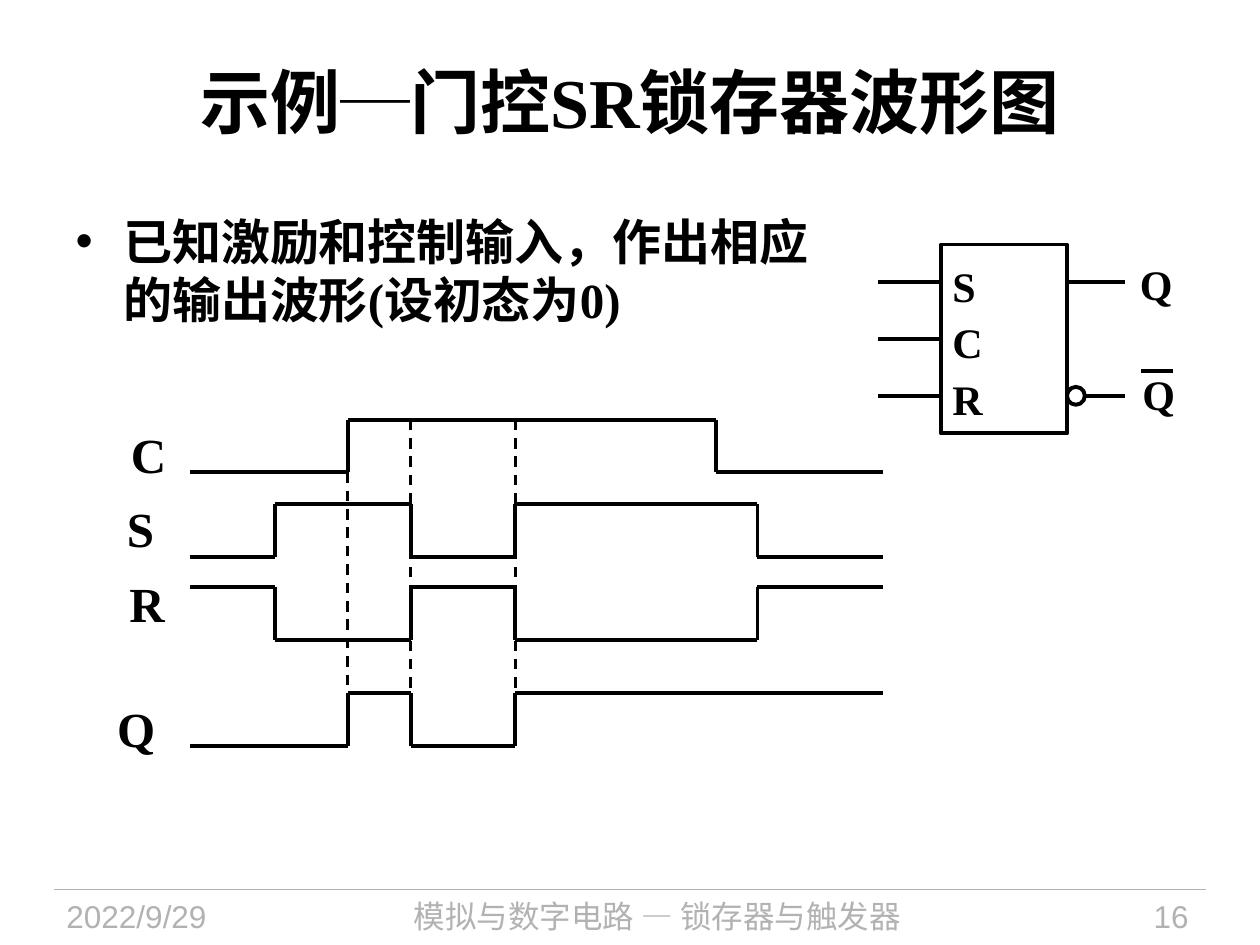
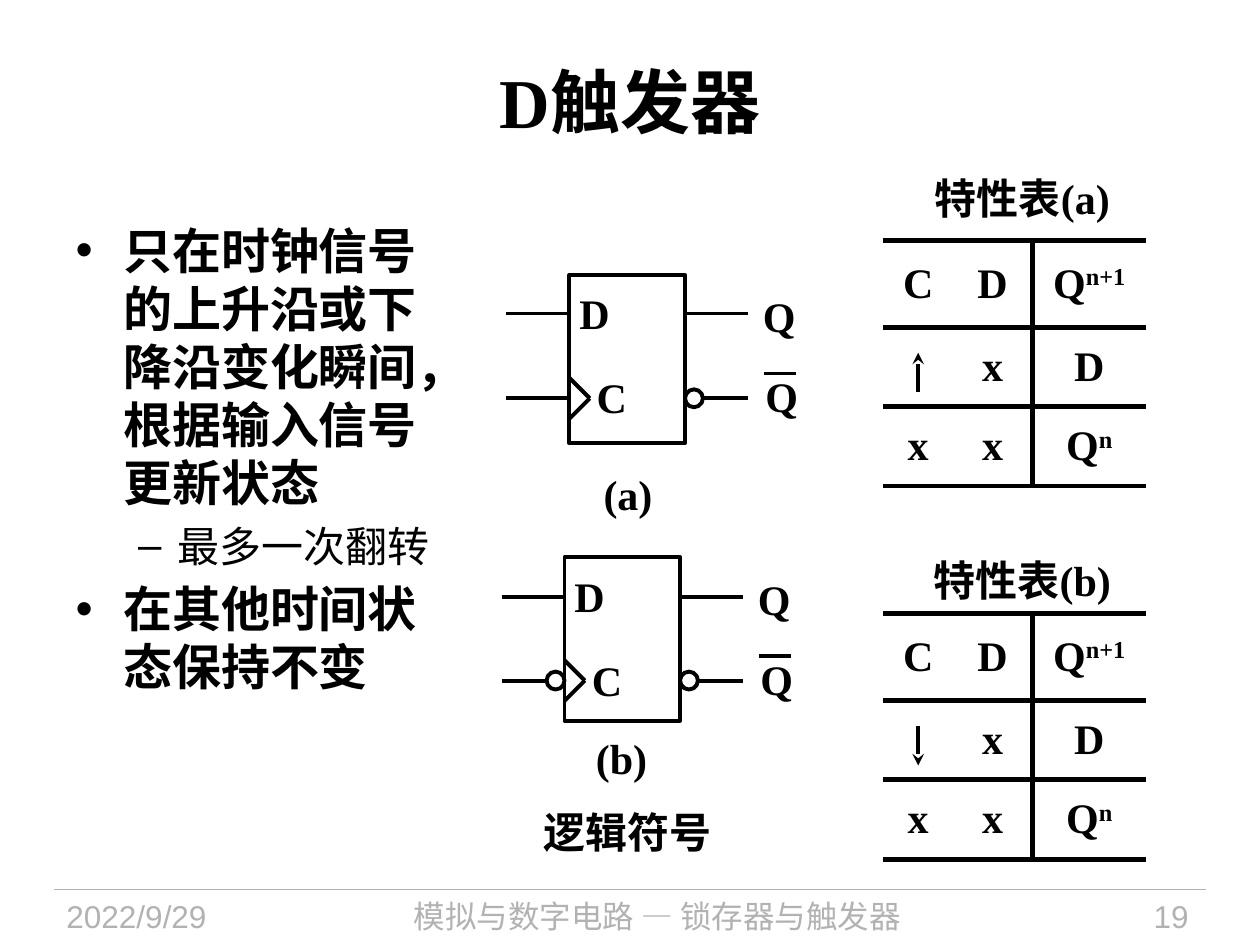
import pptx
import pptx.util
import pptx.dml.color
import pptx.enum.dml
import pptx.enum.shapes
import pptx.enum.text
import pptx.oxml.ns
from lxml import etree

Cm, Pt = pptx.util.Cm, pptx.util.Pt
Align = pptx.enum.text.PP_ALIGN
Anchor = pptx.enum.text.MSO_ANCHOR
Shape = pptx.enum.shapes.MSO_SHAPE
qn = pptx.oxml.ns.qn

BLACK = pptx.dml.color.RGBColor(0, 0, 0)
WHITE = pptx.dml.color.RGBColor(255, 255, 255)
GREY = pptx.dml.color.RGBColor(0xB2, 0xB2, 0xB2)
SERIF, SANS, HAN = "Times New Roman", "Arial", "Noto Sans CJK SC"
BULLETS = [("•", 0.96, 0.96, 28, True), ("–", 2.06, 0.8, 24, False)]
RISE = 1.06  # height of a signal step


class Deck:
    def __init__(self):
        self.prs = pptx.Presentation()
        self.prs.slide_width, self.prs.slide_height = Cm(25.4), Cm(19.05)
        self.slide = None

    def page(self, title, number):
        """Start a slide with its title and footer."""
        self.slide = self.prs.slides.add_slide(self.prs.slide_layouts[1])
        head = self.slide.shapes.title
        self.place(head, 1.27, 0.43, 22.86, 3.18)
        head.text_frame.vertical_anchor = Anchor.MIDDLE
        par = head.text_frame.paragraphs[0]
        par.alignment = Align.CENTER
        self.add_text(par, title, 40)

        self.line(1.09, 17.93, 24.31, 17.93, 0.75, GREY)
        for text, x, w, align, font in [
            ("2022/9/29", 1.09, 4.78, Align.LEFT, SANS),
            ("模拟与数字电路 — 锁存器与触发器", 6.1, 14.3, Align.CENTER, HAN),
            (number, 20.83, 3.38, Align.RIGHT, SANS),
        ]:
            self.label(text, x, 17.93, w, 18, align, font, GREY, False)

    def place(self, shape, x, y, w, h):
        shape.left, shape.top = Cm(x), Cm(y)
        shape.width, shape.height = Cm(w), Cm(h)
        shape.text_frame.auto_size = pptx.enum.text.MSO_AUTO_SIZE.NONE

    def add_text(self, par, text, size=24, bold=True, font=SERIF,
                 color=BLACK, raised=False):
        """Add one run to a paragraph."""
        run = par.add_run()
        run.text = text
        run.font.size, run.font.bold = Pt(size), bold
        run.font.color.rgb = color
        run.font.name = font
        props = run._r.get_or_add_rPr()
        etree.SubElement(props, qn("a:ea")).set("typeface", HAN)
        if raised:
            props.set("baseline", "30000")

    def list(self, items, x, y, w, h):
        """Fill the body placeholder with (level, text) items."""
        body = self.slide.placeholders[1]
        self.place(body, x, y, w, h)
        frame = body.text_frame
        frame.vertical_anchor = Anchor.TOP
        for i, (level, text) in enumerate(items):
            par = frame.add_paragraph() if i else frame.paragraphs[0]
            mark, left, hang, size, bold = BULLETS[level]
            par.level = level
            props = par._p.get_or_add_pPr()
            props.set("marL", str(Cm(left)))
            props.set("indent", str(-Cm(hang)))
            etree.SubElement(props, qn("a:buFont")).set("typeface", SANS)
            etree.SubElement(props, qn("a:buChar")).set("char", mark)
            par.line_spacing = Pt(round(size * 1.19, 1))
            par.space_before = Pt(5 if i else 0)
            self.add_text(par, text, size, bold)

    def label(self, text, x, y, w=1.5, size=24, align=Align.LEFT,
              font=SERIF, color=BLACK, bold=True):
        h = 1.45 if size > 24 else 1.27 if size > 18 else 1.05
        box = self.slide.shapes.add_textbox(Cm(x), Cm(y), Cm(w), Cm(h))
        frame = box.text_frame
        frame.word_wrap = True
        frame.vertical_anchor = Anchor.MIDDLE
        par = frame.paragraphs[0]
        par.alignment = align
        self.add_text(par, text, size, bold, font, color)

    def line(self, x1, y1, x2, y2, width=2.25, color=BLACK,
             dash=False, arrow=False):
        item = self.slide.shapes.add_connector(
            pptx.enum.shapes.MSO_CONNECTOR.STRAIGHT,
            Cm(x1), Cm(y1), Cm(x2), Cm(y2))
        item.line.width = Pt(width)
        item.line.color.rgb = color
        if dash:
            item.line.dash_style = pptx.enum.dml.MSO_LINE.DASH
        props = item._element.spPr
        if arrow:
            tip = etree.SubElement(props.find(qn("a:ln")), qn("a:tailEnd"))
            tip.set("type", "stealth")
        etree.SubElement(props, qn("a:effectLst"))

    def shape(self, kind, x, y, w, h):
        item = self.slide.shapes.add_shape(kind, Cm(x), Cm(y), Cm(w), Cm(h))
        item.shadow.inherit = False
        item.fill.solid()
        item.fill.fore_color.rgb = WHITE
        item.line.color.rgb = BLACK
        item.line.width = Pt(2.25)

    def bubble(self, x, y):
        """Draw an inversion circle whose left edge is at x."""
        self.shape(Shape.OVAL, x, y - 0.18, 0.36, 0.36)

    def wave(self, name, x, y, top, high, edges):
        """Draw a signal that toggles at each edge."""
        self.label(name, x, y, size=28)
        level = top if high else top + RISE
        start = 3.84
        for edge in edges:
            self.line(start, level, edge, level)
            after = 2 * top + RISE - level
            self.line(edge, level, edge, after)
            start, level = edge, after
        self.line(start, level, 17.81, level)

    def symbol(self, x, y, w, h, ins, outs, tip):
        """Draw a block with input pins and the outputs Q and not Q."""
        self.shape(Shape.RECTANGLE, x, y, w, h)
        for pin in ins:
            self.line(x - 1.27, pin, x, pin)
        for pin in outs:
            self.line(x + w, pin, tip, pin)
        self.bubble(x + w, outs[1])
        self.label("Q", tip + 0.05, outs[0] - 0.6)
        self.label("Q", tip + 0.1, outs[1] - 0.68)
        self.line(tip + 0.33, outs[1] - 0.5, tip + 0.97, outs[1] - 0.5)

    def flip(self, x, y, h, pins, falling):
        """Draw an edge-triggered D element."""
        self.symbol(x, y, 2.33, h, pins, pins, x + 3.6)
        data, clock = pins
        self.label("D", x - 0.05, data - 0.66)
        self.label("C", x + 0.3, clock - 0.66)
        for side in (-0.41, 0.41):
            self.line(x, clock + side, x + 0.41, clock)
        if falling:
            self.bubble(x - 0.36, clock)

    def table(self, title, x, y, gap, falling):
        """Draw a characteristic table, with its title gap above it."""
        self.label(title, x + 0.6, y - gap, 4.4, align=Align.CENTER)
        rows = [("C", "D", "Q", "n+1"), ("", "x", "D", ""),
                ("x", "x", "Q", "n")]
        wide, tall = (1.4, 1.6, 2.3), (1.75, 1.6, 1.6)
        grid = self.slide.shapes.add_table(
            3, 3, Cm(x), Cm(y), Cm(sum(wide)), Cm(sum(tall))).table
        grid.first_row = grid.horz_banding = False
        for i in range(3):
            grid.columns[i].width = Cm(wide[i])
            grid.rows[i].height = Cm(tall[i])
        for r, row in enumerate(rows):
            for c in range(3):
                cell = grid.cell(r, c)
                cell.fill.background()
                cell.vertical_anchor = Anchor.MIDDLE
                cell.margin_left = cell.margin_right = Cm(0.1)
                self.edge(cell, c)
                par = cell.text_frame.paragraphs[0]
                par.alignment = Align.CENTER
                if row[c]:
                    self.add_text(par, row[c])
                if c == 2 and row[3]:
                    self.add_text(par, row[3], raised=True)
        ends = (y + 2.26, y + 3.06)
        start, stop = ends if falling else ends[::-1]
        self.line(x + 0.7, start, x + 0.7, stop, arrow=True)

    def edge(self, cell, col):
        """Rule a cell above and below, and between columns 1 and 2."""
        ruled = {"lnT", "lnB", {1: "lnR", 2: "lnL"}.get(col)}
        props = cell._tc.get_or_add_tcPr()
        for i, tag in enumerate(("lnL", "lnR", "lnT", "lnB")):
            side = etree.Element(qn("a:" + tag))
            if tag in ruled:
                side.set("w", str(Pt(3)))
                fill = etree.SubElement(side, qn("a:solidFill"))
                etree.SubElement(fill, qn("a:srgbClr")).set("val", str(BLACK))
            else:
                etree.SubElement(side, qn("a:noFill"))
            props.insert(i, side)


def latch(deck):
    deck.page("示例─门控SR锁存器波形图", "16")
    deck.list([(0, "已知激励和控制输入，作出相应的输出波形(设初态为0)")],
              1.27, 4.14, 15.72, 13.6)
    rise, drop, back = 7.01, 8.28, 10.39
    for x, y in [(rise, 9.52), (drop, 8.46), (back, 8.46)]:
        deck.line(x, y, x, 15.03, 1.5, dash=True)
    inputs = (5.54, drop, back, 15.27)
    deck.wave("C", 2.39, 8.43, 8.46, False, (rise, 14.43))
    deck.wave("S", 2.31, 9.91, 10.16, False, inputs)
    deck.wave("R", 2.36, 11.43, 11.84, True, inputs)
    deck.wave("Q", 2.11, 13.94, 13.97, False, (rise, drop, back))

    pins = (5.69, 6.83, 7.98)
    deck.symbol(18.97, 4.93, 2.54, 3.81, pins, pins[::2], 22.68)
    for name, pin in zip("SCR", pins):
        deck.label(name, 18.95, pin - 0.57)


def trigger(deck):
    deck.page("D触发器", "19")
    deck.list([(0, "只在时钟信号的上升沿或下降沿变化瞬间，根据输入信号更新状态"),
               (1, "最多一次翻转"),
               (0, "在其他时间状态保持不变")],
              1.27, 4.32, 8.03, 13.5)
    deck.flip(11.48, 5.54, 3.4, (6.32, 8.03), False)
    deck.flip(11.38, 11.23, 3.3, (12.04, 13.72), True)
    mid = Align.CENTER
    deck.label("(a)", 11.66, 9.32, 2, align=mid)
    deck.label("(b)", 11.53, 14.63, 2, align=mid)
    deck.label("逻辑符号", 10.31, 16.13, 4.7, align=mid, font=SANS)
    deck.table("特性表(a)", 17.81, 4.85, 1.5, False)
    deck.table("特性表(b)", 17.81, 12.37, 1.32, True)


def main():
    deck = Deck()
    latch(deck)
    trigger(deck)
    deck.prs.save("out.pptx")


if __name__ == "__main__":
    main()
